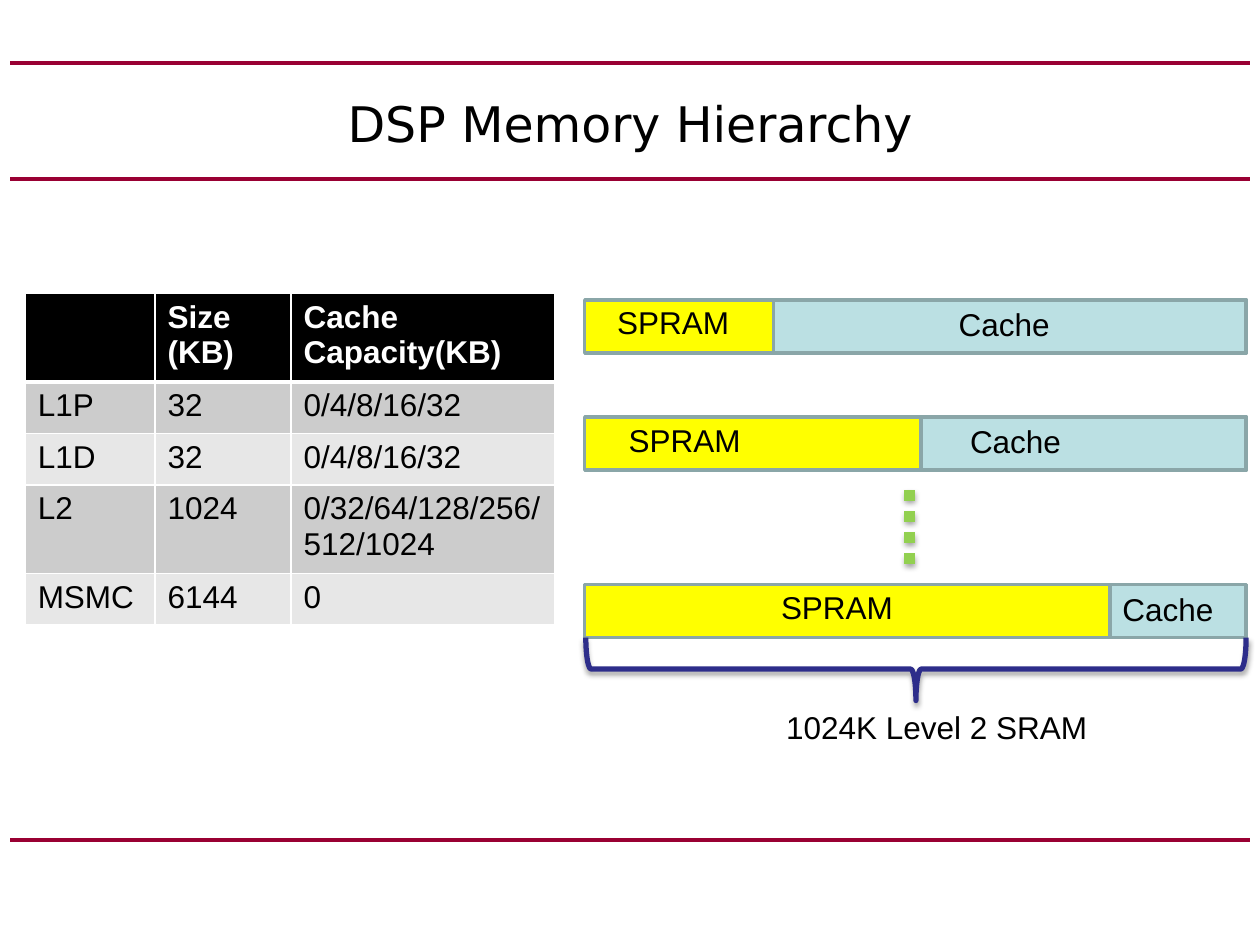
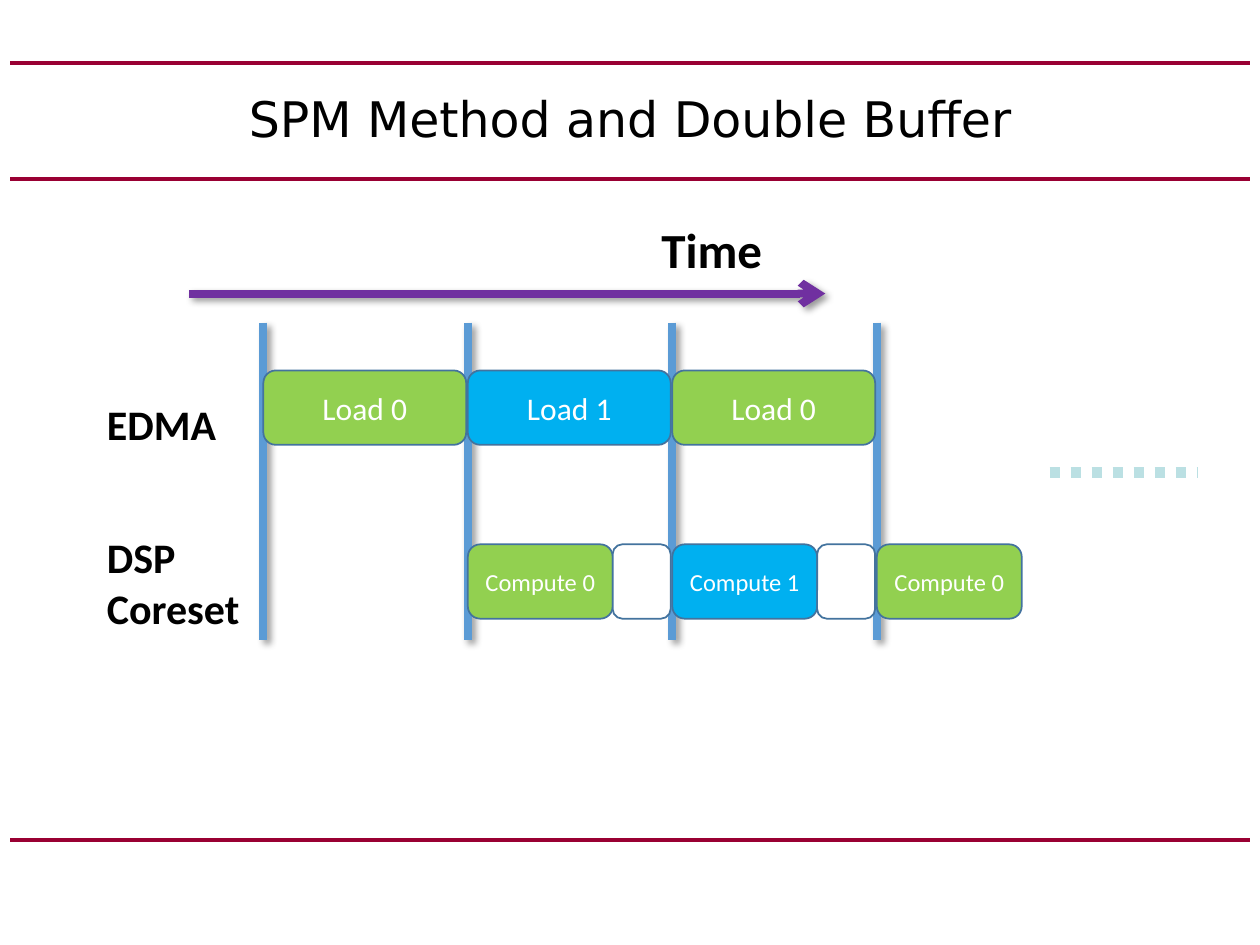
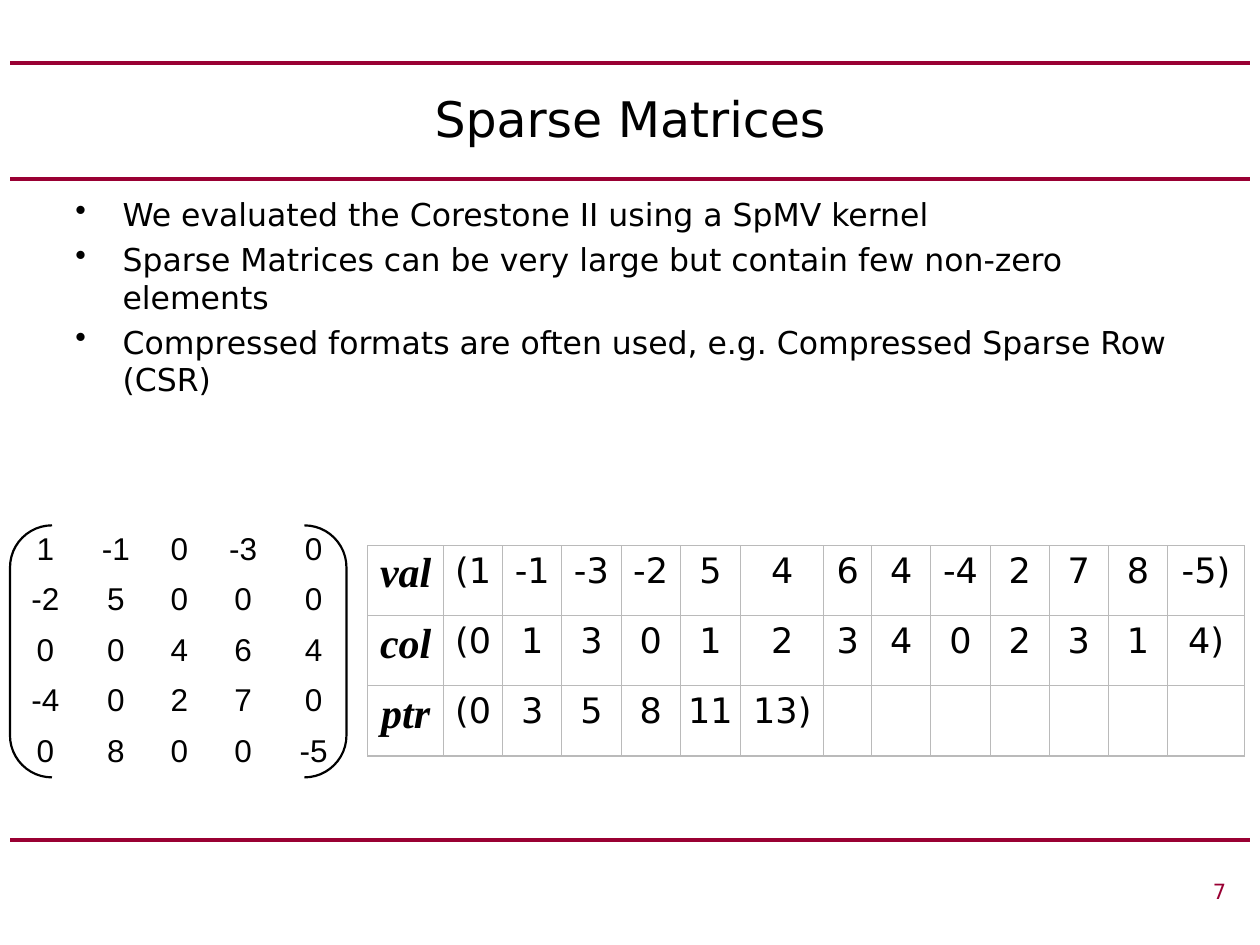
from lxml import etree
from pptx import Presentation
from pptx import util as u
from pptx.dml.color import RGBColor
from pptx.enum import dml, shapes, text
from pptx.oxml import ns

# Colours
BLACK = RGBColor(0x00, 0x00, 0x00)
WHITE = RGBColor(0xFF, 0xFF, 0xFF)
CRIMSON = RGBColor(0x99, 0x00, 0x33)
YELLOW = RGBColor(0xFF, 0xFF, 0x00)
PALE_TEAL = RGBColor(0xBB, 0xE0, 0xE3)
GREY_TEAL = RGBColor(0x8A, 0xA6, 0xA8)
NAVY = RGBColor(0x2D, 0x2D, 0x8A)
GREEN = RGBColor(0x92, 0xD0, 0x50)
SKY = RGBColor(0x00, 0xB0, 0xF0)
STEEL = RGBColor(0x5B, 0x9B, 0xD5)
DARK_STEEL = RGBColor(0x43, 0x73, 0x9E)
PURPLE = RGBColor(0x70, 0x30, 0xA0)
DARK_BAND = RGBColor(0xCC, 0xCC, 0xCC)
LIGHT_BAND = RGBColor(0xE7, 0xE7, 0xE7)
GRID_GREY = RGBColor(0xBA, 0xBA, 0xBA)

# Text formats
TITLE = {"name": "DejaVu Sans", "size": u.Pt(28)}
BULLET = {"name": "DejaVu Sans", "size": u.Pt(18)}
PAGE_NUMBER = {"name": "DejaVu Sans", "size": u.Pt(12)}
ARRAY_VALUE = {"name": "DejaVu Sans", "size": u.Pt(20)}
ARRAY_NAME = {"name": "Times New Roman", "size": u.Pt(24), "bold": True, "italic": True}
PLAIN = {"name": "Arial", "size": u.Pt(18), "bold": False}
HEADER = {**PLAIN, "bold": True}
LOAD = {"name": "Calibri", "size": u.Pt(18)}
COMPUTE = {"name": "Calibri", "size": u.Pt(14)}
LANE = {"name": "Calibri", "size": u.Pt(24), "bold": True}
AXIS = {**LANE, "size": u.Pt(28)}

# Shadows: opacity in percent, blur and distance in points, angle in degrees
SOFT_SHADOW = (35, 3.1, 1.8, 90)
DEEP_SHADOW = (40, 4, 3, 45)

CENTER, RIGHT = text.PP_ALIGN.CENTER, text.PP_ALIGN.RIGHT
COLUMNS, ROWS = 100, 75


def add_node(parent, tag, **attributes):
    node = etree.SubElement(parent, ns.qn(tag))
    for name, value in attributes.items():
        node.set(name, str(value))
    return node


class Deck:
    """Holds the style and the current slide; lengths are grid columns and rows."""

    def __init__(self):
        self.presentation = Presentation()
        self.presentation.slide_width = u.Inches(10)
        self.presentation.slide_height = u.Inches(7.5)
        self.slide = None

    def x(self, columns):
        return round(self.presentation.slide_width * columns / COLUMNS)

    def y(self, rows):
        return round(self.presentation.slide_height * rows / ROWS)

    def box(self, left, top, width, height):
        return self.x(left), self.y(top), self.x(width), self.y(height)

    def new_slide(self, title, box=(5, 5, 90, 8.7)):
        layout = self.presentation.slide_layouts[5]
        self.slide = self.presentation.slides.add_slide(layout)
        for rule_row in (5, 14.2, 66.7):
            self.line((0.8, rule_row), (99.2, rule_row), CRIMSON, 2.25)
        placeholder = self.slide.shapes.title
        for name, value in zip(("left", "top", "width", "height"), self.box(*box)):
            setattr(placeholder, name, value)
        frame = placeholder.text_frame
        frame.auto_size = text.MSO_AUTO_SIZE.NONE
        frame.vertical_anchor = text.MSO_ANCHOR.MIDDLE
        self.set_words(frame, title, TITLE, align=CENTER)

    def set_words(self, frame, words, formats, color=BLACK, align=None):
        frame.word_wrap = True
        frame.text = words
        for paragraph in frame.paragraphs:
            paragraph.alignment = align
            for run in paragraph.runs:
                run.font.color.rgb = color
                for name, value in formats.items():
                    setattr(run.font, name, value)

    def label(self, words, box, formats, color=BLACK, align=None):
        shape = self.slide.shapes.add_textbox(*self.box(*box))
        self.set_words(shape.text_frame, words, formats, color, align)
        return shape

    def bullets(self, items, box):
        shape = self.label("\n".join(items), box, BULLET)
        for paragraph in shape.text_frame.paragraphs:
            paragraph.space_before = u.Pt(4)
            properties = paragraph._p.get_or_add_pPr()
            properties.set("marL", str(self.x(3.75)))
            properties.set("indent", str(-self.x(3.75)))
            add_node(properties, "a:buChar", char="•")

    def set_shadow(self, shape, shadow):
        """Replaces the theme's shadow by the given one, or by none."""
        effect_list = add_node(shape._element.spPr, "a:effectLst")
        if shadow:
            opacity, blur, distance, angle = shadow
            outer = add_node(effect_list, "a:outerShdw", blurRad=u.Pt(blur),
                             dist=u.Pt(distance), dir=angle * 60000, rotWithShape=0)
            tint = add_node(outer, "a:srgbClr", val=BLACK)
            add_node(tint, "a:alpha", val=opacity * 1000)

    def set_fill(self, fill, color):
        if color is None:
            fill.background()
        else:
            fill.solid()
            fill.fore_color.rgb = color

    def shape(self, kind, box, fill, line, weight, shadow=None, rotation=0):
        shape = self.slide.shapes.add_shape(kind, *self.box(*box))
        shape.rotation = rotation
        self.set_fill(shape.fill, fill)
        shape.line.color.rgb = line
        shape.line.width = u.Pt(weight)
        self.set_shadow(shape, shadow)
        return shape

    def block(self, box, fill, words="", formats=LOAD):
        shape = self.shape(shapes.MSO_SHAPE.ROUNDED_RECTANGLE, box, fill, DARK_STEEL, 1)
        self.set_words(shape.text_frame, words, formats, WHITE, CENTER)

    def line(self, start, end, color, weight, shadow=None, dotted=False, arrow=False):
        connector = self.slide.shapes.add_connector(
            shapes.MSO_CONNECTOR.STRAIGHT,
            self.x(start[0]), self.y(start[1]), self.x(end[0]), self.y(end[1]))
        connector.line.color.rgb = color
        connector.line.width = u.Pt(weight)
        if dotted:
            connector.line.dash_style = dml.MSO_LINE.ROUND_DOT
        if arrow:
            add_node(connector.line._get_or_add_ln(), "a:tailEnd", type="arrow")
        self.set_shadow(connector, shadow)

    def table(self, rows, corner, widths, heights, style, border=None, inset=None):
        """style(row, column) gives formats, text colour, fill and alignment;
        border(row) gives the colour and the left, right, top and bottom weights."""
        frame = self.slide.shapes.add_table(
            len(rows), len(widths), *self.box(*corner, sum(widths), sum(heights)))
        table = frame.table
        table.first_row = table.horz_banding = False
        for column, width in zip(table.columns, widths):
            column.width = self.x(width)
        for row, height in zip(table.rows, heights):
            row.height = self.y(height)
        for r, row in enumerate(rows):
            for c, words in enumerate(row):
                cell = table.cell(r, c)
                formats, color, fill, align = style(r, c)
                self.set_words(cell.text_frame, words, formats, color, align)
                if inset is not None:
                    for side in ("left", "top", "right", "bottom"):
                        setattr(cell, f"margin_{side}", self.x(inset))
                if border:
                    self.set_borders(cell, *border(r))
                self.set_fill(cell.fill, fill)

    def set_borders(self, cell, color, weights):
        properties = cell._tc.get_or_add_tcPr()
        for side, weight in zip("LRTB", weights):
            edge = add_node(properties, f"a:ln{side}", w=u.Pt(weight))
            add_node(add_node(edge, "a:solidFill"), "a:srgbClr", val=color)


def memory_slide(deck):
    deck.new_slide("DSP Memory Hierarchy", (6.9, 2.5, 86.2, 14.5))

    # Cache split of the level 2 memory
    bar_left, bar_right, bar_height = 46.4, 98.9, 4.2
    splits = (  # top, start of cache, left of each label
        (23.8, 61.4, 48, 75.1),
        (33.1, 73.1, 48.9, 76),
        (46.4, 88.1, 61, 88.1),
    )
    for top, cache_left, spram_label, cache_label in splits:
        for left, fill in ((bar_left, YELLOW), (cache_left, PALE_TEAL)):
            deck.shape(shapes.MSO_SHAPE.RECTANGLE,
                       (left, top, bar_right - left, bar_height), fill, GREY_TEAL, 2)
        deck.label("SPRAM", (spram_label, top - 0.2, 12.1, 4), PLAIN)
        deck.label("Cache", (cache_label, top - 0.1, 12.1, 4), PLAIN)
    deck.line((72.2, 38.9), (72.2, 44.8), GREEN, 6, SOFT_SHADOW, dotted=True)
    deck.shape(shapes.MSO_SHAPE.LEFT_BRACE, (70.2, 26.9, 5, 52.4), None, NAVY, 3,
               SOFT_SHADOW, rotation=270)
    deck.label("1024K Level 2 SRAM", (61.4, 55.7, 28.3, 4), PLAIN)

    # Memory sizes, with a thick edge below the header
    def style(row, column):
        if row == 0:
            return HEADER, WHITE, BLACK, None
        return PLAIN, BLACK, DARK_BAND if row % 2 else LIGHT_BAND, None

    def border(row):
        return WHITE, (1, 1, 3 if row == 1 else 1, 3 if row == 0 else 1)

    memories = (
        ("", "Size\n(KB)", "Cache Capacity(KB)"),
        ("L1P", "32", "0/4/8/16/32"),
        ("L1D", "32", "0/4/8/16/32"),
        ("L2", "1024", "0/32/64/128/256/512/1024"),
        ("MSMC", "6144", "0"),
    )
    deck.table(memories, (2, 23.3), (10.3, 10.8, 20.9), (6.9, 4.1, 4.1, 7, 4.1),
               style, border)


def buffer_slide(deck):
    deck.new_slide("SPM Method and Double Buffer")

    # Time axis and step dividers
    deck.label("Time", (51.5, 16.9, 13.8, 5.7), AXIS)
    deck.line((15, 23.3), (65.5, 23.3), PURPLE, 4.5, DEEP_SHADOW, arrow=True)
    dividers = [20.9 + 16.23 * step for step in range(4)]
    for column in dividers:
        deck.line((column, 25.6), (column, 50.8), STEEL, 4.5, DEEP_SHADOW)

    # Loads, and the computations one step later
    height, compute_width, idle_width = 5.9, 11.5, 4.6
    for step in range(3):
        buffer = step % 2
        fill = (GREEN, SKY)[buffer]
        compute_left = dividers[step + 1]
        deck.block((dividers[step], 29.4, 16.1, height), fill, f"Load {buffer}")
        deck.block((compute_left, 43.2, compute_width, height), fill,
                   f"Compute {buffer}", COMPUTE)
        if step < 2:
            deck.block((compute_left + compute_width, 43.2, idle_width, height), WHITE)
    deck.line((83.3, 37.5), (95, 37.5), PALE_TEAL, 6, dotted=True)

    # Lane names
    deck.label("EDMA", (7.5, 31.1, 12.1, 5), LANE)
    deck.label("DSP\nCoreset", (7.5, 41.7, 13.3, 9.1), LANE)


def sparse_slide(deck):
    deck.new_slide("Sparse Matrices")
    deck.bullets((
        "We evaluated the Corestone II using a SpMV kernel",
        "Sparse Matrices can be very large but contain few non-zero elements",
        "Compressed formats are often used, e.g. Compressed Sparse Row (CSR)",
    ), (5, 15, 90, 50.8))
    deck.label("7", (28.3, 69.2, 70, 3.3), PAGE_NUMBER, CRIMSON, RIGHT)

    # Matrix in brackets
    matrix = [line.split() for line in (
        "1 -1 0 -3 0", "-2 5 0 0 0", "0 0 4 6 4", "-4 0 2 7 0", "0 8 0 0 -5")]
    deck.table(matrix, (0.8, 41.7), (5.6, 5.6, 4.5, 5.6, 5.6), [3.8] * 5,
               lambda row, column: (PLAIN, BLACK, None, CENTER))
    deck.shape(shapes.MSO_SHAPE.DOUBLE_BRACKET, (0.8, 41.7, 26.7, 20), None, BLACK, 1.25)

    # Compressed arrays, padded to equal length
    widths = [6] + [4.7] * 4 + [4.8, 6.6, 3.8] + [4.7] * 5 + [6.1]
    arrays = [line.split() for line in (
        "val (1 -1 -3 -2 5 4 6 4 -4 2 7 8 -5)",
        "col (0 1 3 0 1 2 3 4 0 2 3 1 4)",
        "ptr (0 3 5 8 11 13)")]
    rows = [array + [""] * (len(widths) - len(array)) for array in arrays]
    deck.table(rows, (29.2, 43.3), widths, [5.57] * 3,
               lambda row, column: (ARRAY_VALUE if column else ARRAY_NAME,
                                    BLACK, None, CENTER),
               lambda row: (GRID_GREY, [0.75] * 4), inset=0.4)


def main():
    deck = Deck()
    memory_slide(deck)
    buffer_slide(deck)
    sparse_slide(deck)
    deck.presentation.save("out.pptx")


if __name__ == "__main__":
    main()
